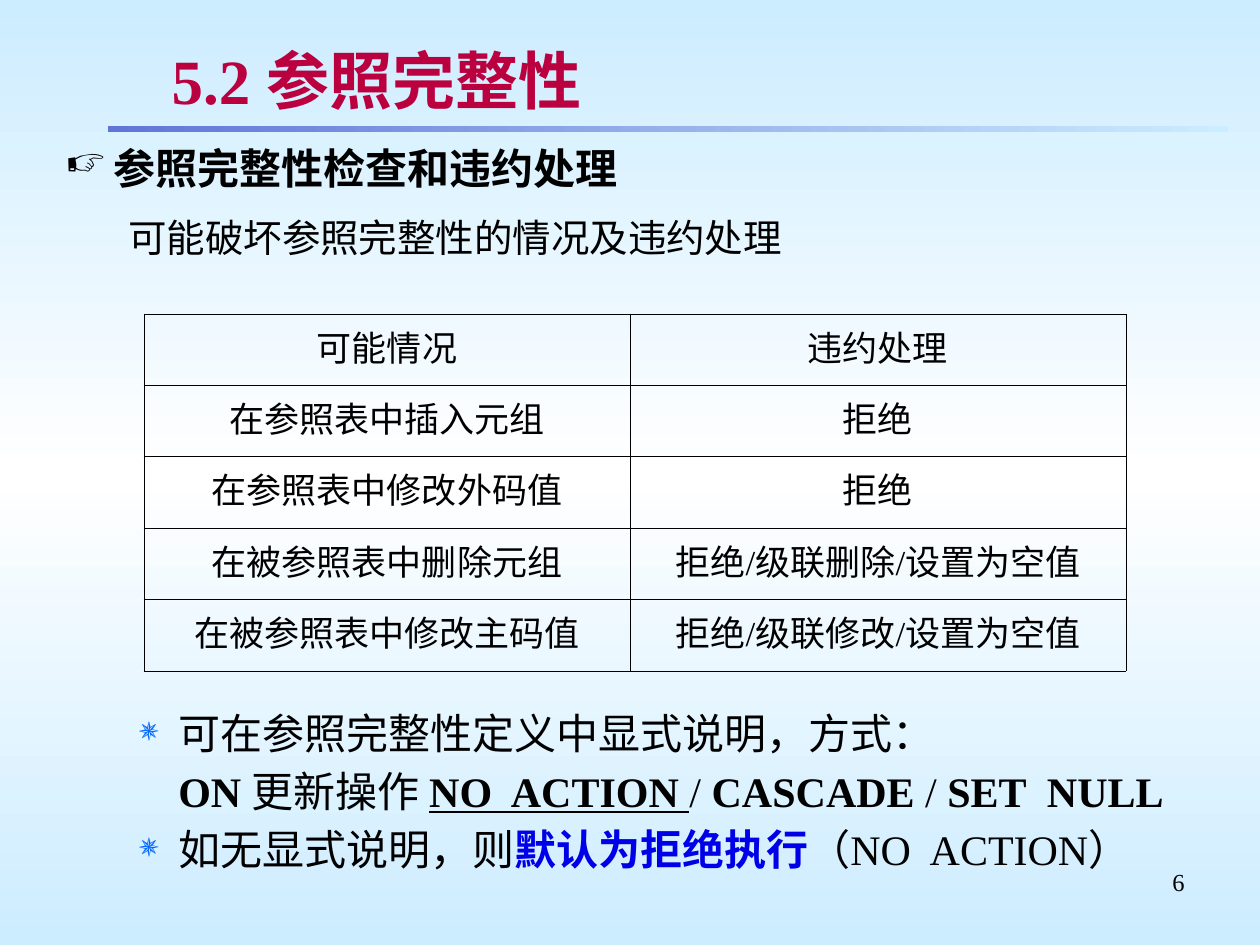
"""Build the slide on referential integrity checks and violation handling."""
import lxml.etree
import pptx
import pptx.dml.color
import pptx.enum.shapes
import pptx.enum.text
import pptx.oxml.ns
import pptx.util

RGB = pptx.dml.color.RGBColor
ALIGN = pptx.enum.text.PP_ALIGN
ANCHOR = pptx.enum.text.MSO_ANCHOR
qn = pptx.oxml.ns.qn

SCALE = 914400 / 126
FONT = "Times New Roman"
BLACK = RGB(0x00, 0x00, 0x00)
WHITE = RGB(0xFF, 0xFF, 0xFF)
SKY = RGB(0xCC, 0xEC, 0xFF)
PERIWINKLE = RGB(0x5F, 0x76, 0xD7)
CRIMSON = RGB(0xBA, 0x00, 0x3E)
BLUE = RGB(0x00, 0x00, 0xE8)
STAR_BLUE = RGB(0x00, 0x66, 0xFF)
SHADOW = RGB(0xC0, 0xC0, 0xC0)


def emu(px):
    return pptx.util.Emu(round(px * SCALE))


def sub(parent, tag, **attrs):
    child = lxml.etree.SubElement(parent, qn(tag))
    for name, value in attrs.items():
        child.set(name, str(value))
    return child


class Deck:
    """Holds the style and the current slide."""

    def __init__(self, width, height):
        self.prs = pptx.Presentation()
        self.prs.slide_width, self.prs.slide_height = emu(width), emu(height)
        self.s = self.prs.slides.add_slide(self.prs.slide_layouts[5])

    def gradient(self, fill, element, colors, angle):
        fill.gradient()
        grad = next(element.iter(qn("a:gradFill")))
        for child in list(grad):
            grad.remove(child)
        stops = sub(grad, "a:gsLst")
        for i, color in enumerate(colors):
            stop = sub(stops, "a:gs", pos=100000 * i // (len(colors) - 1))
            sub(stop, "a:srgbClr", val=color)
        sub(grad, "a:lin", ang=angle * 60000, scaled=0)

    def background(self, colors):
        self.gradient(self.s.background.fill, self.s.element, colors, 90)

    def bar(self, x, y, w, h, colors):
        sp = self.s.shapes.add_shape(
            pptx.enum.shapes.MSO_SHAPE.RECTANGLE, emu(x), emu(y), emu(w), emu(h))
        sp.shadow.inherit = False
        sp.line.fill.background()
        self.gradient(sp.fill, sp.element, colors, 0)

    def run(self, p, text, size, color=BLACK, bold=False, underline=False):
        r = p.add_run()
        r.text = text
        r.font.name, r.font.size = FONT, pptx.util.Pt(size)
        r.font.color.rgb = color
        r.font.bold, r.font.underline = bold, underline
        return r

    def title(self, x, y, w, h, text):
        sp = self.s.shapes.title
        sp.left, sp.top, sp.width, sp.height = emu(x), emu(y), emu(w), emu(h)
        tf = sp.text_frame
        tf.auto_size = pptx.enum.text.MSO_AUTO_SIZE.NONE
        tf.vertical_anchor = ANCHOR.MIDDLE
        tf.margin_top = tf.margin_bottom = emu(5)
        p = tf.paragraphs[0]
        p.alignment = ALIGN.LEFT
        r = self.run(p, text, 36, CRIMSON, True)
        effects = lxml.etree.Element(qn("a:effectLst"))
        shadow = sub(effects, "a:outerShdw", dist=25400, dir=2700000)
        sub(shadow, "a:srgbClr", val=SHADOW)
        r.font.fill._xPr.find(qn("a:solidFill")).addnext(effects)

    def box(self, x, y, w, h):
        tf = self.s.shapes.add_textbox(emu(x), emu(y), emu(w), emu(h)).text_frame
        tf.word_wrap = True
        return tf

    def paragraph(self, tf, runs, size, margin, hang=0, bullet=None, before=0,
                  level=0, spacing=None, align=None):
        p = tf.paragraphs[0]
        if p.runs:
            p = tf.add_paragraph()
        pPr = p._p.get_or_add_pPr()
        pPr.set("marL", str(emu(margin)))
        pPr.set("indent", str(-emu(hang)))
        if bullet:
            char, color, percent = bullet
            sub(sub(pPr, "a:buClr"), "a:srgbClr", val=color)
            sub(pPr, "a:buSzPct", val=percent * 1000)
            sub(pPr, "a:buChar", char=char)
        else:
            sub(pPr, "a:buNone")
        p.level, p.alignment = level, align
        p.space_before = pptx.util.Pt(before)
        if spacing:
            p.line_spacing = spacing
        for text, style in runs:
            self.run(p, text, size, **style)

    def border(self, cell):
        tcPr = cell._tc.get_or_add_tcPr()
        for side in ("a:lnL", "a:lnR", "a:lnT", "a:lnB"):
            line = sub(tcPr, side, w=pptx.util.Pt(0.45))
            sub(sub(line, "a:solidFill"), "a:srgbClr", val=BLACK)

    def table(self, x, y, h, widths, rows):
        table = self.s.shapes.add_table(
            len(rows), len(widths), emu(x), emu(y), emu(sum(widths)), emu(h)).table
        table.first_row = table.horz_banding = False
        for column, width in zip(table.columns, widths):
            column.width = emu(width)
        for i, row in enumerate(rows):
            for j, text in enumerate(row):
                cell = table.cell(i, j)
                self.border(cell)
                cell.fill.background()
                p = cell.text_frame.paragraphs[0]
                p.alignment = ALIGN.CENTER
                self.run(p, text, 20)


def main():
    deck = Deck(1260, 945)
    deck.background([SKY, WHITE, SKY])
    deck.bar(108, 126, 1120, 6, [PERIWINKLE, SKY])
    deck.title(159, 37, 1038, 84, "5.2 参照完整性")
    bold = {"bold": True}

    tf = deck.box(53, 136, 1166, 137)
    deck.paragraph(tf, [("参照完整性检查和违约处理", bold)], 24, 48, 48,
                   ("☞", BLACK, 95))
    deck.paragraph(tf, [("可能破坏参照完整性的情况及违约处理", {})], 22, 102, 39,
                   before=4.1, level=1, spacing=1.3)

    deck.table(144, 314, 357, [486, 496], [
        ("可能情况", "违约处理"),
        ("在参照表中插入元组", "拒绝"),
        ("在参照表中修改外码值", "拒绝"),
        ("在被参照表中删除元组", "拒绝/级联删除/设置为空值"),
        ("在被参照表中修改主码值", "拒绝/级联修改/设置为空值"),
    ])

    star = ("✵", STAR_BLUE, 80)
    tf = deck.box(64, 701, 1121, 175)
    deck.paragraph(tf, [("可在参照完整性定义中显式说明，方式：", {})],
                   24, 102, 39, star, level=1)
    deck.paragraph(tf, [
        ("ON ", bold), ("更新操作 ", {}),
        ("NO  ACTION", {"bold": True, "underline": True}),
        (" ", {"underline": True}), ("/ ", {}), ("CASCADE", bold),
        (" / ", {}), ("SET  NULL", bold),
    ], 24, 102, before=4.5, level=1)
    deck.paragraph(tf, [
        ("如无显式说明，则", {}),
        ("默认为拒绝执行", {"bold": True, "color": BLUE}),
        ("（NO  ACTION）", {}),
    ], 24, 102, 39, star, before=4.5, level=1)

    deck.paragraph(deck.box(903, 861, 294, 66), [("6", {})], 14, 0,
                   align=ALIGN.RIGHT)
    deck.prs.save("out.pptx")


if __name__ == "__main__":
    main()
